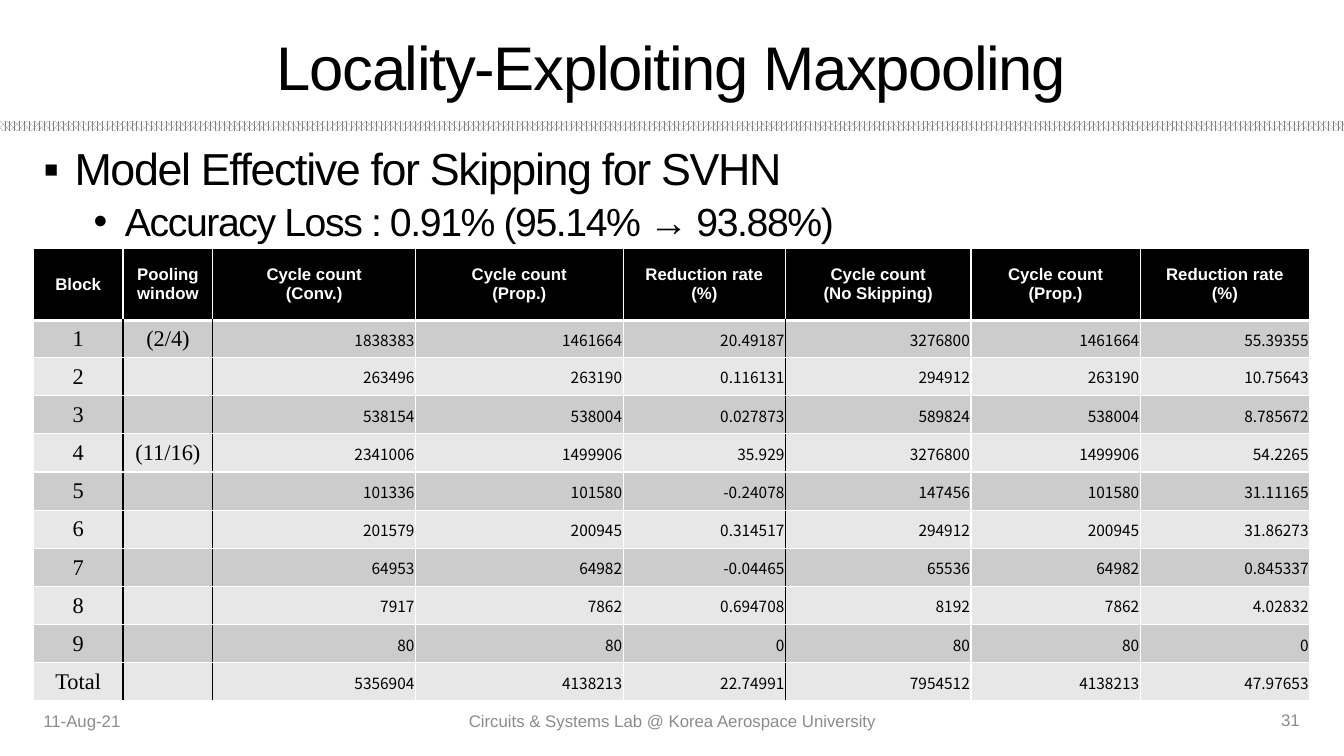
"""Build the slide on locality-exploiting maxpooling."""
import dataclasses
import typing

import lxml.etree
import pptx
import pptx.dml.color
import pptx.enum.dml
import pptx.enum.shapes
import pptx.enum.text
import pptx.oxml.ns
import pptx.util

RGB = pptx.dml.color.RGBColor
ALIGN = pptx.enum.text.PP_ALIGN
MIDDLE = pptx.enum.text.MSO_ANCHOR.MIDDLE
BLACK = RGB(0x00, 0x00, 0x00)
WHITE = RGB(0xFF, 0xFF, 0xFF)
GRAY = RGB(0x80, 0x80, 0x80)
MUTED = RGB(0x8C, 0x8C, 0x8C)
DARK = RGB(0xCC, 0xCC, 0xCC)
LIGHT = RGB(0xE7, 0xE7, 0xE7)
WIDTH = pptx.util.Inches(13.33)
HEIGHT = pptx.util.Inches(7.5)


@dataclasses.dataclass(frozen=True)
class Box:
    """Place and size in percent of the slide."""
    left: float
    top: float
    wide: float
    high: float

    def place(self) -> tuple[int, int, int, int]:
        """Return the box in slide units."""
        return across(self.left), down(self.top), across(self.wide), down(self.high)


@dataclasses.dataclass(frozen=True)
class Style:
    """Look of a run of text."""
    size: float
    color: RGB = BLACK
    font: str = "Arial"
    bold: bool = False
    tight: bool = False


@dataclasses.dataclass(frozen=True)
class Point:
    """Bulleted line of the body."""
    text: str
    size: float
    level: int
    mark: str
    indent: float
    before: float


@dataclasses.dataclass(frozen=True)
class Note:
    """Line at the foot of the slide."""
    text: str
    box: Box
    align: ALIGN


HEAD = Style(12, WHITE, bold=True)
LABEL = Style(16, font="Times New Roman")
VALUE = Style(11, font="Noto Sans CJK KR")
POINTS = (
    Point("Model Effective for Skipping for SVHN", 32, 0, "▪", 0.31, 10),
    Point("Accuracy Loss : 0.91% (95.14% → 93.88%)", 28, 1, "•", 0.81, 5),
)
NOTES = (
    Note("11-Aug-21", Box(2.48, 92.67, 22.51, 5.33), ALIGN.LEFT),
    Note("Circuits & Systems Lab @ Korea Aerospace University",
         Box(33.16, 92.67, 33.76, 5.33), ALIGN.CENTER),
    Note("31", Box(74.64, 92.53, 22.81, 5.33), ALIGN.RIGHT),
)
COLS = (6.68, 6.68, 15.08, 15.45, 12.08, 13.8, 12.6, 12.6)
ROWS = (9.6, 4.53) + (5.05,) * 9
RULED = (1, 2, 5)
DATA = (
    ("Block", "Pooling window", "Cycle count\n(Conv.)", "Cycle count\n(Prop.)",
     "Reduction rate\n(%)", "Cycle count\n(No Skipping)",
     "Cycle count\n(Prop.)", "Reduction rate\n(%)"),
    ("1", "(2/4)", "1838383", "1461664", "20.49187", "3276800", "1461664", "55.39355"),
    ("2", "", "263496", "263190", "0.116131", "294912", "263190", "10.75643"),
    ("3", "", "538154", "538004", "0.027873", "589824", "538004", "8.785672"),
    ("4", "(11/16)", "2341006", "1499906", "35.929", "3276800", "1499906", "54.2265"),
    ("5", "", "101336", "101580", "-0.24078", "147456", "101580", "31.11165"),
    ("6", "", "201579", "200945", "0.314517", "294912", "200945", "31.86273"),
    ("7", "", "64953", "64982", "-0.04465", "65536", "64982", "0.845337"),
    ("8", "", "7917", "7862", "0.694708", "8192", "7862", "4.02832"),
    ("9", "", "80", "80", "0", "80", "80", "0"),
    ("Total", "", "5356904", "4138213", "22.74991", "7954512", "4138213", "47.97653"),
)


def across(share: float) -> int:
    """Turn a percent of the width into units."""
    return round(WIDTH * share / 100)


def down(share: float) -> int:
    """Turn a percent of the height into units."""
    return round(HEIGHT * share / 100)


def node(parent: typing.Any, tag: str, **attrs: str) -> typing.Any:
    """Add a drawing element under a parent."""
    return lxml.etree.SubElement(parent, pptx.oxml.ns.qn(f"a:{tag}"), attrs)


def write(para: typing.Any, text: str, style: Style) -> None:
    """Add one styled run to a paragraph."""
    run = para.add_run()
    run.text = text
    run.font.size = pptx.util.Pt(style.size)
    run.font.name = style.font
    run.font.bold = style.bold
    run.font.color.rgb = style.color
    if style.tight:
        run.font._element.set("spc", "-100")


def draw_title(slide: typing.Any) -> None:
    """Place the title and the band below it."""
    title = slide.shapes.title
    title.left, title.top, title.width, title.height = Box(2.48, 2.93, 94.97, 11.6).place()
    frame = title.text_frame
    frame.auto_size = pptx.enum.text.MSO_AUTO_SIZE.NONE
    frame.vertical_anchor = MIDDLE
    frame.paragraphs[0].alignment = ALIGN.CENTER
    write(frame.paragraphs[0], "Locality-Exploiting Maxpooling", Style(44, tight=True))
    band = slide.shapes.add_shape(
        pptx.enum.shapes.MSO_SHAPE.RECTANGLE, *Box(0, 16, 100, 1.33).place())
    band.shadow.inherit = False
    band.line.fill.background()
    band.fill.patterned()
    band.fill.pattern = pptx.enum.dml.MSO_PATTERN.PERCENT_70
    band.fill.fore_color.rgb = GRAY
    band.fill.back_color.rgb = WHITE


def draw_points(slide: typing.Any) -> None:
    """Write the bulleted lines."""
    frame = slide.shapes.add_textbox(*Box(2.48, 18.8, 94.97, 71.33).place()).text_frame
    frame.word_wrap = True
    for rank, point in enumerate(POINTS):
        para = frame.add_paragraph() if rank else frame.paragraphs[0]
        para.level = point.level
        para.line_spacing = 0.9
        para.space_before = pptx.util.Pt(point.before)
        write(para, point.text, Style(point.size, tight=True))
        props = para._p.get_or_add_pPr()
        props.set("marL", str(pptx.util.Inches(point.indent)))
        props.set("indent", str(pptx.util.Inches(-0.31)))
        node(props, "buFont", typeface="Arial")
        node(props, "buChar", char=point.mark)


def draw_note(slide: typing.Any, note: Note) -> None:
    """Write one line at the foot."""
    frame = slide.shapes.add_textbox(*note.box.place()).text_frame
    frame.word_wrap = True
    frame.vertical_anchor = MIDDLE
    frame.paragraphs[0].alignment = note.align
    write(frame.paragraphs[0], note.text, Style(12, MUTED))


def draw_cell(cell: typing.Any, row: int, col: int, text: str) -> None:
    """Fill, rule and write one table cell."""
    style = HEAD if row == 0 else LABEL if col < 2 else VALUE
    cell.vertical_anchor = MIDDLE
    if style is VALUE or not text:
        cell.margin_left = cell.margin_right = cell.margin_top = pptx.util.Inches(0.01)
        cell.margin_bottom = 0
    for rank, line in enumerate(text.split("\n") if text else ()):
        para = cell.text_frame.add_paragraph() if rank else cell.text_frame.paragraphs[0]
        para.alignment = ALIGN.RIGHT if style is VALUE else ALIGN.CENTER
        write(para, line, style)
    props = cell._tc.get_or_add_tcPr()
    for side, edge in (("L", col), ("R", col + 1), ("T", None), ("B", None)):
        thick = 3 if row == 0 and side == "B" else 1
        line = node(props, f"ln{side}", w=str(pptx.util.Pt(thick)))
        color = BLACK if row and edge in RULED else WHITE
        node(node(line, "solidFill"), "srgbClr", val=str(color))
    cell.fill.solid()
    cell.fill.fore_color.rgb = BLACK if row == 0 else DARK if row % 2 else LIGHT


def draw_table(slide: typing.Any) -> None:
    """Build the table of cycle counts."""
    box = Box(2.48, 32.8, sum(COLS), sum(ROWS))
    table = slide.shapes.add_table(len(ROWS), len(COLS), *box.place()).table
    table.horz_banding = False
    for col, share in enumerate(COLS):
        table.columns[col].width = across(share)
    for row, share in enumerate(ROWS):
        table.rows[row].height = down(share)
        for col, text in enumerate(DATA[row]):
            draw_cell(table.cell(row, col), row, col, text)


def main() -> None:
    """Build and save the slide."""
    deck = pptx.Presentation()
    deck.slide_width, deck.slide_height = WIDTH, HEIGHT
    slide = deck.slides.add_slide(deck.slide_layouts[5])
    draw_title(slide)
    draw_points(slide)
    for note in NOTES:
        draw_note(slide, note)
    draw_table(slide)
    deck.save("out.pptx")


if __name__ == "__main__":
    main()
